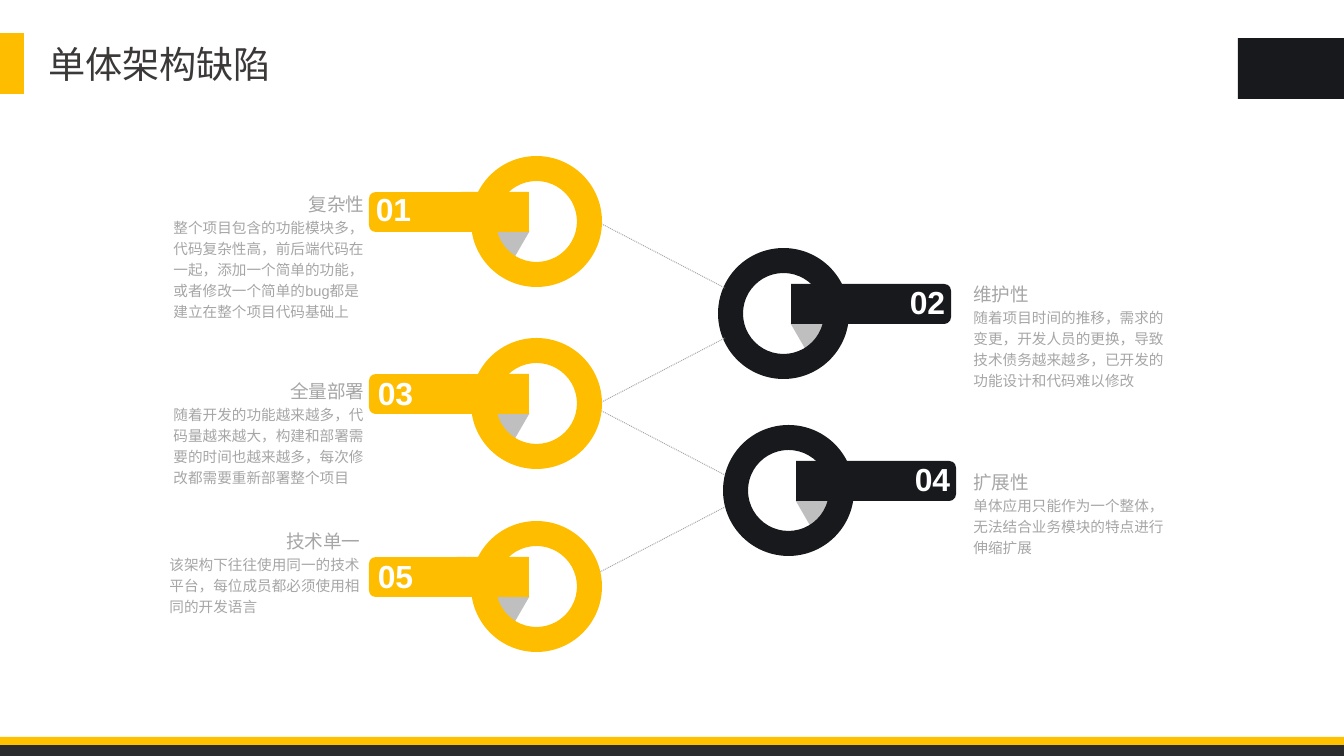
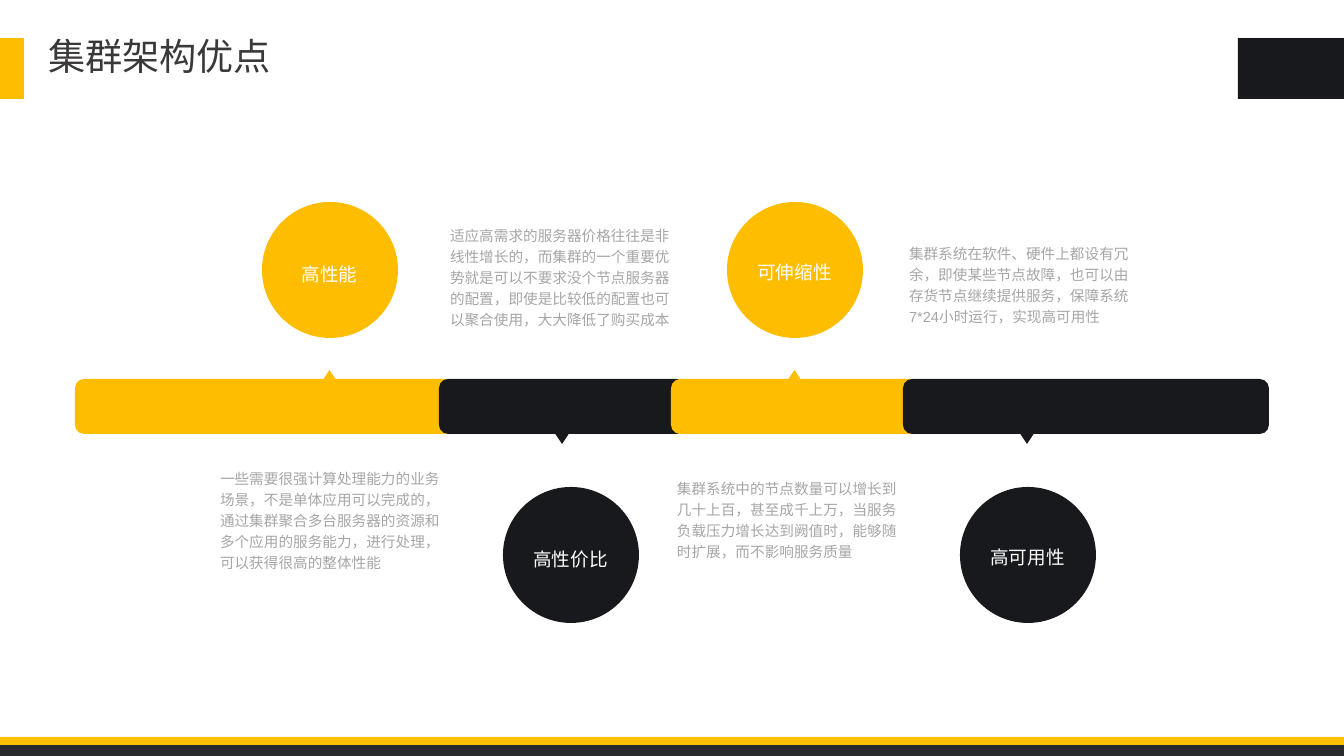
import pptx
import pptx.util
import pptx.dml.color
import pptx.enum.dml
import pptx.enum.shapes
import pptx.enum.text
import pptx.oxml.ns
import lxml.etree

PX = 9567  # EMU in one px
PAGE_W, PAGE_H = 1344, 756

YELLOW, BAND_YELLOW = "FFBD00", "FFC000"
BLACK, BAND_DARK = "18191C", "2A2B2D"
SHADE, GREY, WHITE, TITLE_INK = "BFBFBF", "A6A6A6", "FFFFFF", "3B3838"
BODY_FONT, TITLE_FONT = "Arial", "Noto Sans CJK SC"

SHAPE = pptx.enum.shapes.MSO_SHAPE
ALIGN = pptx.enum.text.PP_ALIGN
ANCHOR = pptx.enum.text.MSO_ANCHOR

RING, STEM_W, STEM_H = 131, 160, 40
NOTE_W, HEADING_H = 210, 27
CIRCLE = 136

# ring left and top, number offset from the ring, note left and top, heading, body
DARK_KEYS = [
    ("02", (718, 248), (191, 27), (964, 274), "维护性",
     "随着项目时间的推移，需求的变更，开发人员的更换，导致技术债务越来越多，已开发的功能设计和代码难以修改"),
    ("04", (723, 425), (191, 27), (964, 462), "扩展性",
     "单体应用只能作为一个整体，无法结合业务模块的特点进行伸缩扩展"),
]
YELLOW_KEYS = [
    ("01", (471, 156), (-96, 26), (164, 184), "复杂性",
     "整个项目包含的功能模块多，代码复杂性高，前后端代码在一起，添加一个简单的功能，"
     "或者修改一个简单的bug都是建立在整个项目代码基础上"),
    ("03", (471, 338), (-94, 28), (164, 371), "全量部署",
     "随着开发的功能越来越多，代码量越来越大，构建和部署需要的时间也越来越多，每次修改都需要重新部署整个项目"),
    ("05", (471, 521), (-94, 28), (160, 521), "技术单一",
     "该架构下往往使用同一的技术平台，每位成员都必须使用相同的开发语言"),
]
LINKS = [(222, 288), (404, 338), (409, 475), (573, 507)]

# bar left and width, circle left, label drop in the circle, label, text left and top, text
STAGES = [
    (75, 379, 262, 57, "高性能", (220, 466),
     "一些需要很强计算处理能力的业务场景，不是单体应用可以完成的，通过集群聚合多台服务器的资源和"
     "多个应用的服务能力，进行处理，可以获得很高的整体性能"),
    (439, 247, 503, 57, "高性价比", (450, 223),
     "适应高需求的服务器价格往往是非线性增长的，而集群的一个重要优势就是可以不要求没个节点服务器的配置，"
     "即使是比较低的配置也可以聚合使用，大大降低了购买成本"),
    (671, 248, 727, 55, "可伸缩性", (677, 476),
     "集群系统中的节点数量可以增长到几十上百，甚至成千上万，当服务负载压力增长达到阙值时，"
     "能够随时扩展，而不影响服务质量"),
    (903, 366, 960, 55, "高可用性", (909, 241),
     "集群系统在软件、硬件上都设有冗余，即使某些节点故障，也可以由存货节点继续提供服务，"
     "保障系统7*24小时运行，实现高可用性"),
]


def color(value):
    return pptx.dml.color.RGBColor.from_string(value)


def emu(*lengths):
    return [pptx.util.Emu(round(length * PX)) for length in lengths]


def add_shape(page, kind, box, fill, rotation=0):
    shape = page.shapes.add_shape(kind, *emu(*box))
    shape.shadow.inherit = False
    shape.fill.solid()
    shape.fill.fore_color.rgb = color(fill)
    shape.line.fill.background()
    shape.rotation = rotation
    return shape


def add_text(page, box, text, size, ink=GREY, font=BODY_FONT, align=ALIGN.LEFT,
             anchor=ANCHOR.TOP, spacing=1.2, bold=False, inset=True, wrap=True):
    frame = page.shapes.add_textbox(*emu(*box)).text_frame
    frame.word_wrap = wrap
    frame.vertical_anchor = anchor
    if not inset:
        frame.margin_left = frame.margin_right = 0
        frame.margin_top = frame.margin_bottom = 0
    para = frame.paragraphs[0]
    para.alignment = align
    para.line_spacing = spacing
    span = para.add_run()
    span.text = text
    span.font.size = pptx.util.Pt(size)
    span.font.bold = bold
    span.font.name = font
    span.font.color.rgb = color(ink)
    east_asian = lxml.etree.Element(pptx.oxml.ns.qn("a:ea"), typeface=font)
    span.font._element.find(pptx.oxml.ns.qn("a:latin")).addnext(east_asian)


def add_dotted_link(page, start, end):
    link = page.shapes.add_connector(
        pptx.enum.shapes.MSO_CONNECTOR.STRAIGHT, *emu(*start, *end))
    link.line.color.rgb = color(GREY)
    link.line.width = pptx.util.Pt(0.75)
    link.line.dash_style = pptx.enum.dml.MSO_LINE.ROUND_DOT
    lxml.etree.SubElement(link._element.spPr, pptx.oxml.ns.qn("a:effectLst"))


def add_page(deck, title, title_top, tag_top):
    """Add a blank page with the shared bands, corner blocks and title."""
    page = deck.slides.add_slide(deck.slide_layouts[6])
    add_shape(page, SHAPE.RECTANGLE, (0, 741, PAGE_W, PAGE_H - 741), BAND_DARK)
    add_shape(page, SHAPE.RECTANGLE, (0, 737, PAGE_W, 8), BAND_YELLOW)
    add_shape(page, SHAPE.RECTANGLE, (0, tag_top, 24, 61), YELLOW)
    add_shape(page, SHAPE.RECTANGLE, (PAGE_W - 106, 38, 106, 61), BLACK)
    add_text(page, (39, title_top, 246, 56), title, 28, TITLE_INK, TITLE_FONT,
             anchor=ANCHOR.MIDDLE, spacing=1, wrap=False)
    return page


def add_key(page, ring_at, number, number_shift, fill, points_right):
    """Draw a ring with a numbered stem; the right-hand kind mirrors the left."""
    left, top = ring_at

    def from_side(offset, width):
        return left + (RING - offset - width if points_right else offset)

    turn = 1 if points_right else -1
    add_shape(page, SHAPE.ISOSCELES_TRIANGLE,
              (from_side(9, 44), top + 66, 44, 38), SHADE, 60 * turn)
    ring = add_shape(page, SHAPE.DONUT, (left, top, RING, RING), fill)
    ring.adjustments[0] = 0.191
    swap = (STEM_W - STEM_H) / 2
    add_shape(page, SHAPE.ROUND_2_SAME_RECTANGLE,
              (from_side(-102, STEM_W) + swap, top + 36 - swap, STEM_H, STEM_W),
              fill, 90 * turn)
    shift_x, shift_y = number_shift
    add_text(page, (left + shift_x, top + shift_y, 37, 46), number, 24, WHITE,
             align=ALIGN.CENTER, anchor=ANCHOR.BOTTOM, bold=True, inset=False,
             wrap=False)


def add_note(page, note_at, heading, body, heading_align):
    left, top = note_at
    add_text(page, (left, top + HEADING_H, NOTE_W, 90), body, 11)
    add_text(page, (left, top, NOTE_W, 34), heading, 14, align=heading_align)


def add_stage(page, stage, is_upper):
    """Draw a bar with its pointer, circle, label and text."""
    bar_left, bar_width, circle_left, label_drop, label, text_at, text = stage
    fill = YELLOW if is_upper else BLACK
    add_shape(page, SHAPE.ROUNDED_RECTANGLE, (bar_left, 379, bar_width, 55), fill)
    circle_top = 202 if is_upper else 487
    add_shape(page, SHAPE.OVAL, (circle_left, circle_top, CIRCLE, CIRCLE), fill)
    add_text(page, (circle_left + 28, circle_top + label_drop, 79, 25), label, 14,
             WHITE, align=ALIGN.CENTER, inset=False)
    add_text(page, (*text_at, 220, 104), text, 11, inset=False)


def add_pointer(page, index, is_upper):
    left = 321.5 + 232.5 * index
    add_shape(page, SHAPE.ISOSCELES_TRIANGLE, (left, 370 if is_upper else 432, 16, 12),
              YELLOW if is_upper else BLACK, 0 if is_upper else 180)


def build_defects(deck):
    page = add_page(deck, "单体架构缺陷", title_top=36, tag_top=33)
    for number, ring_at, shift, note_at, heading, body in DARK_KEYS:
        add_key(page, ring_at, number, shift, BLACK, points_right=True)
        add_note(page, note_at, heading, body, ALIGN.LEFT)
    for left_y, right_y in LINKS:
        add_dotted_link(page, (598, left_y), (725, right_y))
    for number, ring_at, shift, note_at, heading, body in YELLOW_KEYS:
        add_key(page, ring_at, number, shift, YELLOW, points_right=False)
        add_note(page, note_at, heading, body, ALIGN.RIGHT)


def build_advantages(deck):
    page = add_page(deck, "集群架构优点", title_top=28, tag_top=38)
    for index, stage in enumerate(STAGES):
        is_upper = index % 2 == 0
        add_stage(page, stage, is_upper)
        add_pointer(page, index, is_upper)


def main():
    deck = pptx.Presentation()
    deck.slide_width, deck.slide_height = emu(PAGE_W, PAGE_H)
    build_defects(deck)
    build_advantages(deck)
    deck.save("out.pptx")


if __name__ == "__main__":
    main()
